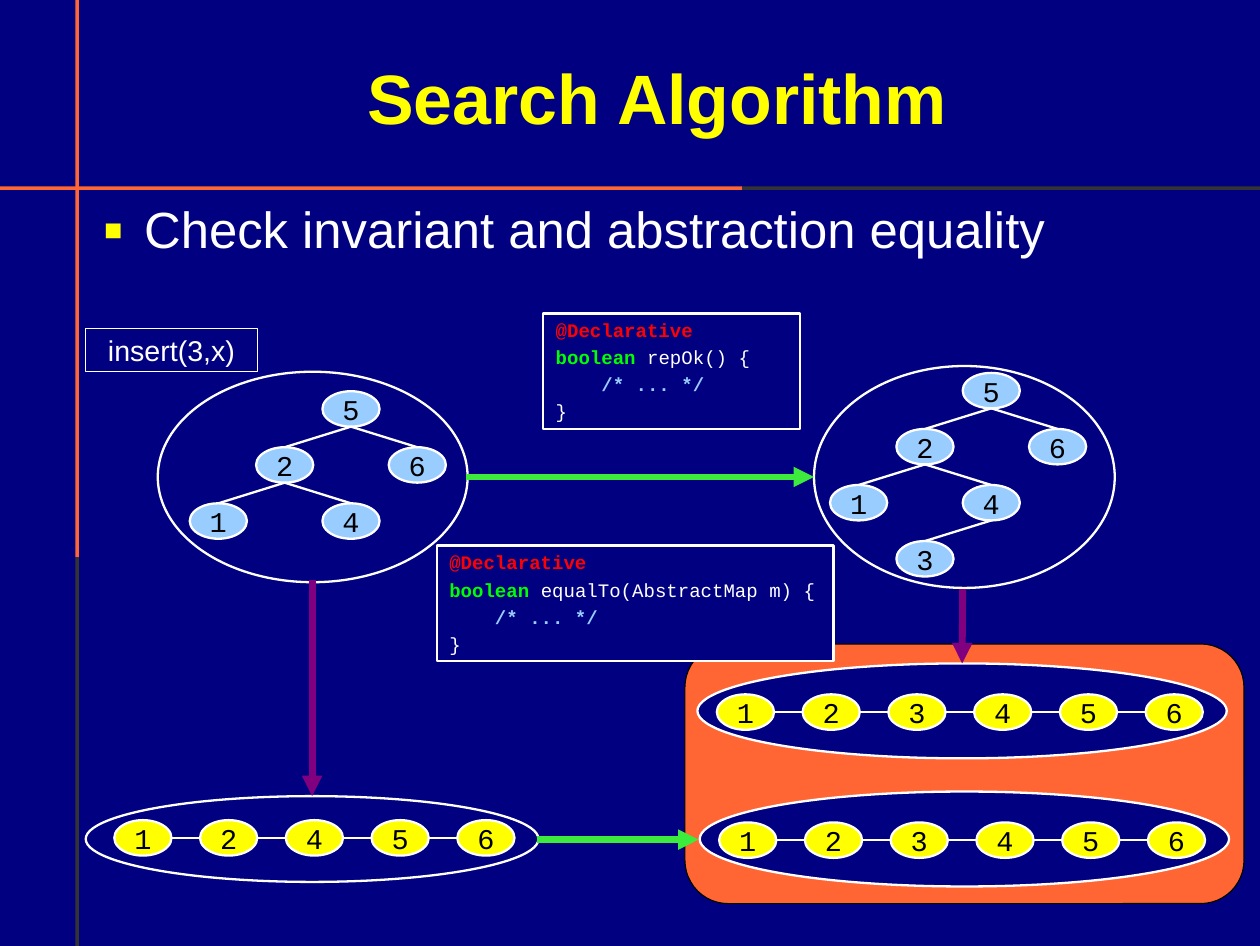
from lxml import etree
from pptx import Presentation
from pptx import util as u
from pptx.dml.color import RGBColor
from pptx.enum import shapes, text
from pptx.oxml import ns

COLORS = {
    "navy": "000080", "orange": "FF6633", "gray": "333333", "yellow": "FFFF00",
    "white": "FFFFFF", "black": "000000", "sky": "99CCFF", "green": "3DEB3D",
    "purple": "800080", "red": "FF0000", "lime": "00FF00",
}
SHAPE = shapes.MSO_SHAPE
CENTER = text.PP_ALIGN.CENTER
MIDDLE = text.MSO_ANCHOR.MIDDLE
NODE_WIDTH, NODE_HEIGHT = 0.5, 0.31
TREE_COLUMN, TREE_LEVEL = 0.58, 0.49
LIST_STEP = 0.75
SMALL_TREE = [("5", 0, 0, None), ("2", -1, 1, "5"), ("6", 1, 1, "5"),
              ("1", -2, 2, "2"), ("4", 0, 2, "2")]
GROWN_TREE = SMALL_TREE + [("3", -1, 3, "4")]


def rgb(name):
    return RGBColor.from_string(COLORS[name])


def apply(target, values):
    for name, value in values.items():
        setattr(target, name, value)


def inches(*values):
    return [u.Inches(value) for value in values]


def add_box(page, kind, place, fill=None, line=None, width=1.45):
    box = page.shapes.add_shape(kind, *inches(*place))
    box.shadow.inherit = False
    if fill:
        box.fill.solid()
        box.fill.fore_color.rgb = rgb(fill)
    else:
        box.fill.background()
    if line:
        box.line.color.rgb = rgb(line)
        box.line.width = u.Pt(width)
    else:
        box.line.fill.background()
    return box


def set_frame(box, insets, anchor=text.MSO_ANCHOR.TOP, wrap=True):
    left, top, right, bottom = inches(*insets)
    apply(box.text_frame, {
        "margin_left": left, "margin_top": top, "margin_right": right,
        "margin_bottom": bottom, "vertical_anchor": anchor, "word_wrap": wrap,
    })
    return box.text_frame


def add_span(para, words, size, color, bold=False, font="Arial"):
    span = para.add_run()
    span.text = words
    apply(span.font, {"name": font, "size": u.Pt(size), "bold": bold})
    span.font.color.rgb = rgb(color)


def add_line(page, start, end, color="white", width=1.45, arrow=False, target=None):
    line = page.shapes.add_connector(shapes.MSO_CONNECTOR.STRAIGHT, *inches(*start, *end))
    line.line.color.rgb = rgb(color)
    line.line.width = u.Pt(width)
    if target:
        line.end_connect(target, 0)
    properties = line.element.spPr
    if arrow:
        outline = properties.find(ns.qn("a:ln"))
        etree.SubElement(outline, ns.qn("a:tailEnd"), type="triangle")
    etree.SubElement(properties, ns.qn("a:effectLst"))


def add_node(page, label, left, top, fill):
    node = add_box(page, SHAPE.OVAL, (left, top, NODE_WIDTH, NODE_HEIGHT), fill, "white")
    para = set_frame(node, (0.1, 0.06, 0.1, 0.06), MIDDLE, False).paragraphs[0]
    para.alignment = CENTER
    add_span(para, label, 18, "black", font="Courier New")
    return node


def add_tree(page, outline, left, top, nodes):
    add_box(page, SHAPE.OVAL, outline, None, "white")
    bottoms = {}
    for label, column, level, parent in nodes:
        x, y = left + column * TREE_COLUMN, top + level * TREE_LEVEL
        node = add_node(page, label, x, y, "sky")
        middle = x + NODE_WIDTH / 2
        bottoms[label] = (middle, y + NODE_HEIGHT)
        if parent:
            add_line(page, bottoms[parent], (middle, y), target=node)


def add_list(page, outline, left, top, labels, fill=None):
    ring = add_box(page, SHAPE.OVAL, outline, fill, "white")
    middle = top + NODE_HEIGHT / 2
    for index, label in enumerate(labels):
        x = left + index * LIST_STEP
        add_node(page, label, x, top, "yellow")
        if index:
            add_line(page, (x - LIST_STEP + NODE_WIDTH, middle), (x, middle))
    return ring


def add_code(page, place, signature):
    box = add_box(page, SHAPE.RECTANGLE, place, "navy", "white")
    frame = set_frame(box, (0.11, 0.06, 0.11, 0.06))
    lines = [
        [("@Declarative", "red", True)],
        [("boolean ", "lime", True), (signature, "white", False)],
        [("    /* ... */", "sky", True)],
        [("}", "white", False)],
    ]
    for index, spans in enumerate(lines):
        para = frame.add_paragraph() if index else frame.paragraphs[0]
        apply(para, {"alignment": text.PP_ALIGN.LEFT, "line_spacing": 1.18 if index else 0.94})
        for words, color, bold in spans:
            add_span(para, words, 12, color, bold, "Courier New")


def add_rules(page):
    for place, color in [
        ((0, 1.63, 6.49, 0.03), "orange"), ((6.49, 1.63, 4.53, 0.03), "gray"),
        ((0.66, 0, 0.03, 4.87), "orange"), ((0.66, 4.87, 0.03, 3.4), "gray"),
    ]:
        add_box(page, SHAPE.RECTANGLE, place, color)


def add_title(page, words):
    box = page.shapes.add_textbox(*inches(0.79, 0.17, 9.92, 1.38))
    para = set_frame(box, (0, 0.04, 0, 0), MIDDLE).paragraphs[0]
    apply(para, {"alignment": CENTER, "line_spacing": 0.93})
    add_span(para, words, 44, "yellow", True)


def add_bullet(page, words):
    box = page.shapes.add_textbox(*inches(0.79, 1.75, 9.92, 0.6))
    para = set_frame(box, (0, 0.03, 0, 0)).paragraphs[0]
    para.line_spacing = 0.93
    properties = para._p.get_or_add_pPr()
    properties.set("marL", str(u.Inches(0.47)))
    properties.set("indent", str(u.Inches(-0.35)))
    color = etree.SubElement(properties, ns.qn("a:buClr"))
    etree.SubElement(color, ns.qn("a:srgbClr"), val=COLORS["yellow"])
    etree.SubElement(properties, ns.qn("a:buSzPct"), val="60000")
    etree.SubElement(properties, ns.qn("a:buFont"), typeface="Arial")
    etree.SubElement(properties, ns.qn("a:buChar"), char="■")
    add_span(para, words, 32, "white")


def add_call(page, words):
    box = add_box(page, SHAPE.RECTANGLE, (0.75, 2.87, 1.5, 0.38), "navy", "white", 0.75)
    para = set_frame(box, (0.1, 0.07, 0.1, 0.05)).paragraphs[0]
    apply(para, {"alignment": CENTER, "line_spacing": 0.93})
    add_span(para, words, 18, "white")


def main():
    deck = Presentation()
    apply(deck, {"slide_width": u.Inches(11.02), "slide_height": u.Inches(8.27)})
    page = deck.slides.add_slide(deck.slide_layouts[6])
    page.background.fill.solid()
    page.background.fill.fore_color.rgb = rgb("navy")

    add_rules(page)
    add_box(page, SHAPE.ROUNDED_RECTANGLE, (5.99, 5.63, 4.89, 2.27), "orange", "black", 0.75)
    add_title(page, "Search Algorithm")
    add_bullet(page, "Check invariant and abstraction equality")
    add_call(page, "insert(3,x)")
    add_code(page, (4.75, 2.74, 2.25, 1.01), "repOk() {")
    add_code(page, (3.82, 4.77, 3.47, 1.01), "equalTo(AbstractMap m) {")

    add_tree(page, (1.38, 3.25, 2.71, 1.84), 2.82, 3.42, SMALL_TREE)
    add_tree(page, (7.12, 3.2, 2.63, 1.94), 8.42, 3.26, GROWN_TREE)
    before = add_list(page, (0.75, 6.96, 3.96, 0.75), 1, 7.17, "12456")
    after = add_list(page, (6.1, 5.8, 4.63, 0.83), 6.27, 6.07, "123456", "navy")
    add_list(page, (6.12, 6.92, 4.63, 0.83), 6.29, 7.19, "123456", "navy")

    for start, end, color, target in [
        ((4.08, 4.17), (7.12, 4.17), "green", None),
        ((4.7, 7.34), (6.11, 7.34), "green", None),
        ((2.73, 5.07), (2.73, 6.96), "purple", before),
        ((8.42, 5.15), (8.42, 5.8), "purple", after),
    ]:
        add_line(page, start, end, color, 4.31, True, target)
    deck.save("out.pptx")


if __name__ == "__main__":
    main()
